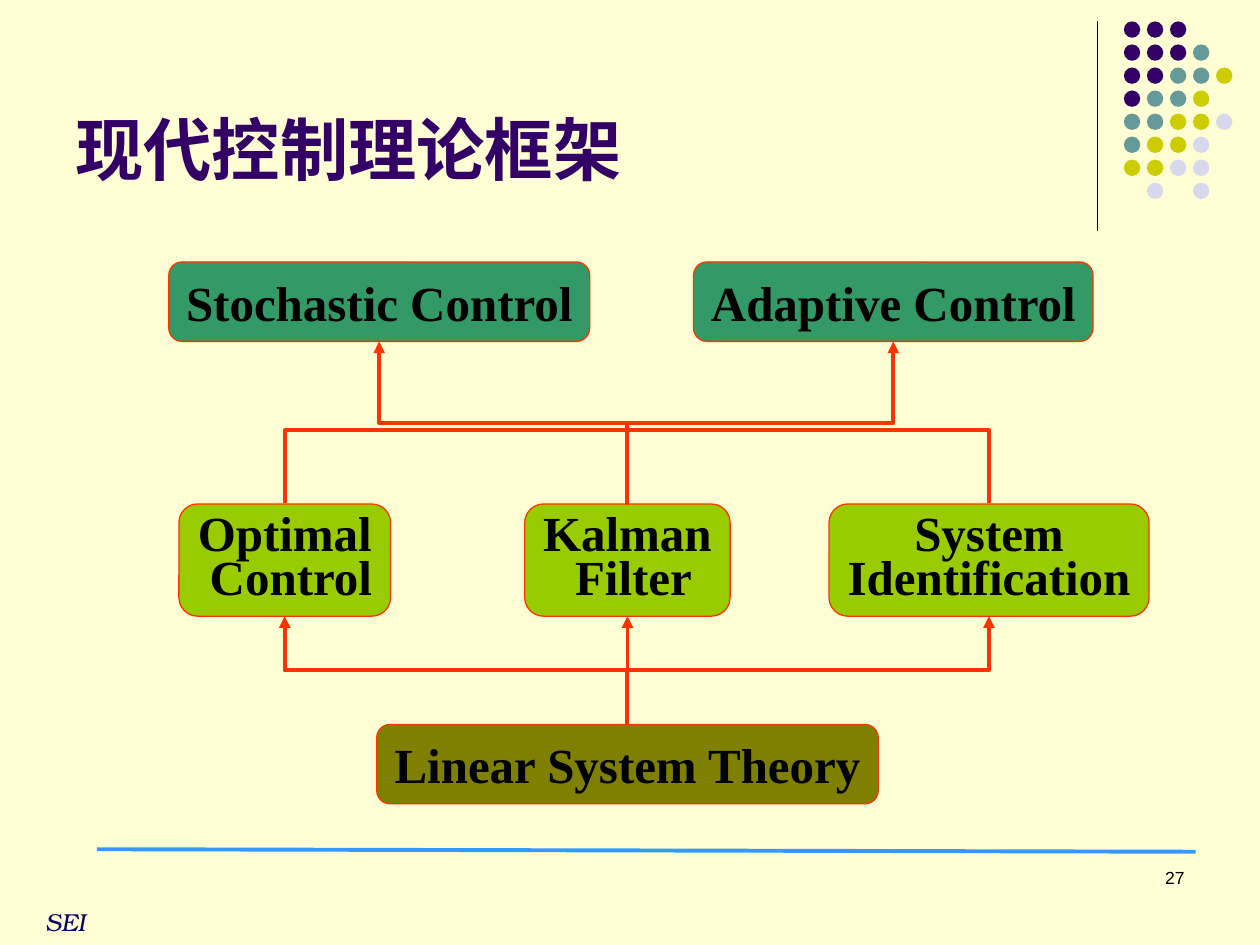
from lxml import etree
from pptx import Presentation
from pptx.dml.color import RGBColor
from pptx.enum.shapes import MSO_CONNECTOR, MSO_SHAPE
from pptx.enum.text import MSO_ANCHOR, PP_ALIGN
from pptx.oxml.ns import qn
from pptx.util import Inches, Pt

CREAM = RGBColor(0xFE, 0xFD, 0xD3)
BLACK = RGBColor(0, 0, 0)
PURPLE = RGBColor(0x33, 0x00, 0x66)
TEAL = RGBColor(0x66, 0x99, 0x99)
GOLD = RGBColor(0xCC, 0xCC, 0x00)
PALE = RGBColor(0xD8, 0xD8, 0xEC)
NAVY = RGBColor(0x08, 0x04, 0x62)
BLUE = RGBColor(0x33, 0x99, 0xFF)
RED = RGBColor(0xFF, 0x33, 0x00)
OLIVE = RGBColor(0x80, 0x80, 0x00)
LIME = RGBColor(0x99, 0xCC, 0x00)
GREEN = RGBColor(0x33, 0x99, 0x66)


def write(shape, text, size, font="Arial", color=BLACK, bold=False, italic=False,
          align=PP_ALIGN.LEFT, anchor=MSO_ANCHOR.TOP, wrap=True, space=1.0):
    frame = shape.text_frame
    frame.word_wrap = wrap
    frame.vertical_anchor = anchor
    frame.text = text
    for para in frame.paragraphs:
        para.alignment = align
        para.line_spacing = space
        for run in para.runs:
            run.font.size = Pt(size)
            run.font.bold = bold
            run.font.italic = italic
            run.font.color.rgb = color
            run.font.name = font
            props = run._r.get_or_add_rPr()
            etree.SubElement(props, qn("a:ea")).set("typeface", font)


def link(kind, start, end, color, width, arrow=False):
    line = shapes.add_connector(kind, *[Inches(v) for v in start + end])
    line.line.color.rgb = color
    line.line.width = Pt(width)
    if arrow:
        tail = etree.SubElement(line.line._get_or_add_ln(), qn("a:tailEnd"))
        tail.set("type", "triangle")
    etree.SubElement(line._element.spPr, qn("a:effectLst"))
    return line


deck = Presentation()
deck.slide_width = Inches(10)
deck.slide_height = Inches(7.5)
slide = deck.slides.add_slide(deck.slide_layouts[6])
slide.background.fill.solid()
slide.background.fill.fore_color.rgb = CREAM
shapes = slide.shapes

link(MSO_CONNECTOR.STRAIGHT, (8.71, 0.17), (8.71, 1.83), BLACK, 0.75)

tints = {"P": PURPLE, "T": TEAL, "G": GOLD, "L": PALE}
rows = ["PPP", "PPPT", "PPTTG", "PTTG", "TTGGL", "TGGL", "GGLL", ".L.L"]
pitch = Inches(1.28) / 7
for row, marks in enumerate(rows):
    for col, mark in enumerate(marks):
        if mark in tints:
            dot = shapes.add_shape(
                MSO_SHAPE.OVAL, Inches(8.92) + int(col * pitch),
                Inches(0.17) + int(row * pitch), Inches(0.13), Inches(0.13))
            dot.shadow.inherit = False
            dot.fill.solid()
            dot.fill.fore_color.rgb = tints[mark]
            dot.line.fill.background()

mark = shapes.add_textbox(Inches(0.25), Inches(7.15), Inches(0.54), Inches(0.33))
write(mark, "SEI", 14, font="TeX Gyre Bonum", color=NAVY, italic=True,
      align=PP_ALIGN.CENTER, wrap=False)
link(MSO_CONNECTOR.STRAIGHT, (0.77, 6.74), (9.49, 6.76), BLUE, 2.25)
page = shapes.add_textbox(Inches(7.17), Inches(6.83), Inches(2.33), Inches(0.5))
write(page, "27", 10, align=PP_ALIGN.RIGHT)
title = shapes.add_textbox(Inches(0.5), Inches(0.13), Inches(8.25), Inches(1.42))
write(title, "现代控制理论框架", 39, color=PURPLE, bold=True, anchor=MSO_ANCHOR.BOTTOM)

boxes = {}
for name, text, mid, top, width, height, fill, space in [
    ("linear", "Linear System Theory", 4.98, 5.75, 3.98, 0.63, OLIVE, 1.0),
    ("optimal", "Optimal\n Control", 2.26, 4, 1.68, 0.89, LIME, 0.75),
    ("kalman", "Kalman\n Filter", 4.98, 4, 1.63, 0.89, LIME, 0.75),
    ("system", "System\nIdentification", 7.85, 4, 2.54, 0.89, LIME, 0.75),
    ("random", "Stochastic Control", 3.01, 2.08, 3.34, 0.63, GREEN, 1.0),
    ("adapt", "Adaptive Control", 7.09, 2.08, 3.17, 0.63, GREEN, 1.0),
]:
    box = shapes.add_shape(MSO_SHAPE.ROUNDED_RECTANGLE, Inches(mid - width / 2),
                           Inches(top), Inches(width), Inches(height))
    box.shadow.inherit = False
    box.fill.solid()
    box.fill.fore_color.rgb = fill
    box.line.color.rgb = RED
    box.line.width = Pt(0.75)
    write(box, text, 28, font="Times New Roman", bold=True, align=PP_ALIGN.CENTER,
          anchor=MSO_ANCHOR.MIDDLE, wrap=False, space=space)
    boxes[name] = (box, mid, top, top + height)

base, mid, top, _ = boxes["linear"]
goal, _, _, low = boxes["kalman"]
stem = link(MSO_CONNECTOR.STRAIGHT, (mid, top), (mid, low), RED, 2.25, arrow=True)
stem.begin_connect(base, 0)
stem.end_connect(goal, 2)

for first, last, site in [
    ("linear", "optimal", 2), ("linear", "system", 2),
    ("kalman", "random", 2), ("kalman", "adapt", 2),
    ("optimal", "kalman", 0), ("system", "kalman", 0),
]:
    base, left, top, _ = boxes[first]
    goal, right, peak, low = boxes[last]
    rise = top - low if site == 2 else 0.01
    span = abs(right - left)
    bend = link(MSO_CONNECTOR.ELBOW, (left, top), (right, low), RED, 2.25, arrow=site == 2)
    bend.begin_connect(base, 0)
    bend.end_connect(goal, site)
    bend.left = Inches((left + right - rise) / 2)
    bend.top = Inches(top - rise / 2 - span / 2)
    bend.width, bend.height = Inches(rise), Inches(span)
    frame = bend._element.spPr.find(qn("a:xfrm"))
    east = right > left
    turn = east == (site == 2)
    frame.set("rot", "16200000" if turn else "5400000")
    frame.set("flipH", "0" if east else "1")
    frame.set("flipV", "0" if site == 2 else "1")
    if site == 0:
        bend.top = Inches(top - span / 2)
        geom = bend._element.spPr.find(qn("a:prstGeom"))
        guides = geom.find(qn("a:avLst"))
        guide = etree.SubElement(guides, qn("a:gd"))
        guide.set("name", "adj1")
        guide.set("fmla", "val -5900000")

deck.save("out.pptx")
